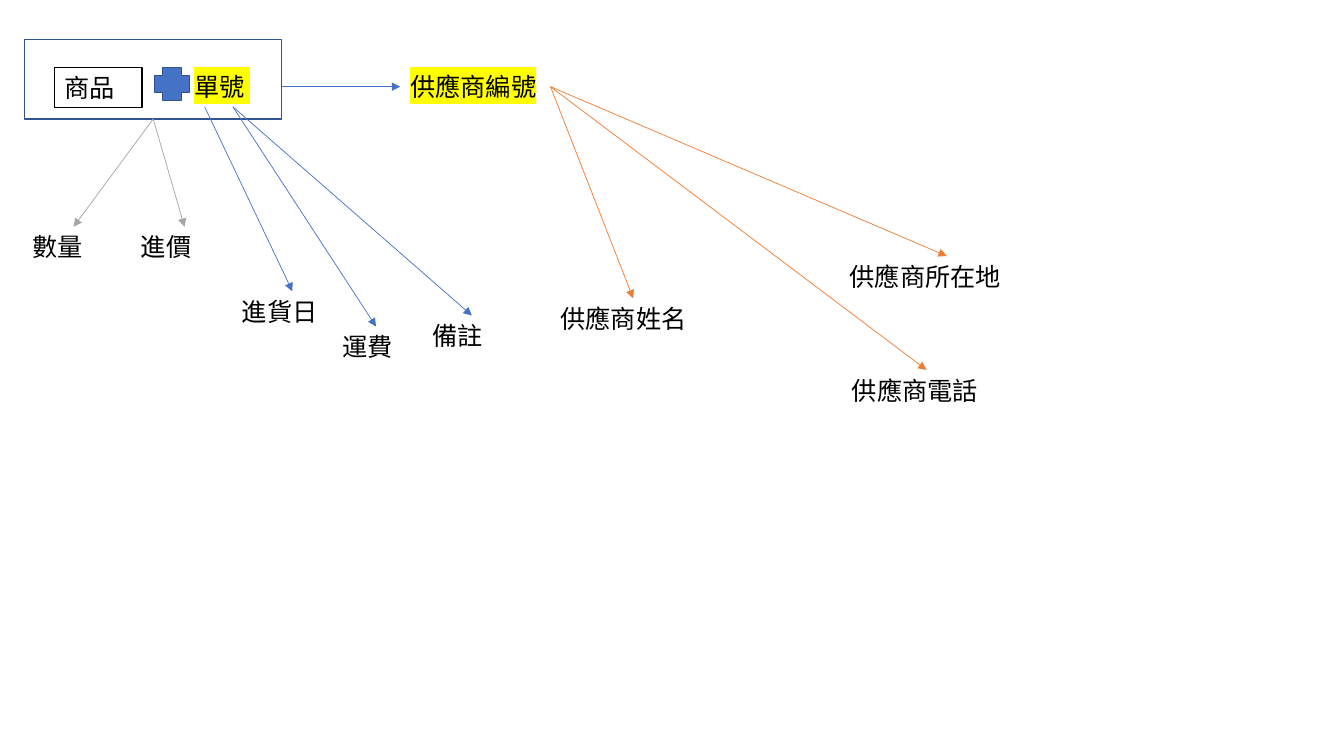
"""Draw a dependency map of purchase fields, from order keys to supplier details."""
from dataclasses import dataclass
from typing import Optional

from lxml.etree import SubElement
from pptx import Presentation
from pptx.dml.color import RGBColor as Rgb
from pptx.enum.shapes import MSO_CONNECTOR as Link, MSO_SHAPE as Form
from pptx.enum.text import MSO_ANCHOR as Anchor, MSO_AUTO_SIZE as Auto, PP_ALIGN as Align
from pptx.oxml.ns import qn
from pptx.shapes.autoshape import Shape
from pptx.shapes.shapetree import SlideShapes as Shapes
from pptx.util import Emu, Pt


@dataclass(frozen=True)
class Theme:
    """Colours, fonts and sizes of the slide."""
    ink: str = "000000"
    paper: str = "FFFFFF"
    mark: str = "FFFF00"
    blue: str = "4472C4"
    navy: str = "325491"
    orange: str = "ED7D31"
    grey: str = "A5A5A5"
    han: str = "Noto Sans CJK TC"
    latin: str = "Calibri"
    text: int = 18
    edge: float = 1
    wire: float = 0.5


@dataclass(frozen=True)
class Box:
    """A rectangle in px."""
    left: int
    top: int
    width: int
    height: int = 40

    @property
    def mid(self) -> int:
        """Horizontal centre."""
        return self.left + self.width // 2


@dataclass(frozen=True)
class Label:
    """A field name, highlighted when it is a key."""
    text: str
    box: Box
    key: bool = False


@dataclass(frozen=True)
class Arrow:
    """An arrow between two points in px."""
    start: tuple[int, int]
    end: tuple[int, int]
    color: str


THEME = Theme()
SCALE = 9144
WIDE, HIGH = 1333, 750

FRAME = Box(24, 39, 255, 79)
PLUS = Box(153, 67, 35, 33)
GOODS = Label("商品", Box(54, 67, 87))
ORDER = Label("單號", Box(183, 66, 97), True)
VENDOR = Label("供應商編號", Box(397, 66, 149), True)
DATE = Label("進貨日", Box(230, 289, 121))
FREIGHT = Label("運費", Box(330, 324, 87))
PRICE = Label("進價", Box(130, 225, 106))
COUNT = Label("數量", Box(22, 225, 103))
NOTE = Label("備註", Box(419, 313, 99))
PHONE = Label("供應商電話", Box(835, 367, 169))
PLACE = Label("供應商所在地", Box(833, 254, 213))
NAME = Label("供應商姓名", Box(546, 296, 165))
LABELS = (ORDER, DATE, FREIGHT, VENDOR, PRICE, COUNT, NOTE, PHONE, PLACE, NAME)

FANS = (
    ((203, 106), THEME.blue, (DATE,)),
    ((ORDER.box.mid, 106), THEME.blue, (FREIGHT, NOTE)),
    ((546, 86), THEME.orange, (PLACE, PHONE, NAME)),
    ((152, 118), THEME.grey, (PRICE, COUNT)),
)
ARROWS = [Arrow((280, 86), (397, 86), THEME.blue)] + [
    Arrow(start, (label.box.mid, label.box.top), color)
    for start, color, labels in FANS for label in labels
]


def px(*sizes: int) -> list[Emu]:
    """Turn px into EMU."""
    return [Emu(size * SCALE) for size in sizes]


def place(box: Box) -> list[Emu]:
    """Give the EMU position and size of a box."""
    return px(box.left, box.top, box.width, box.height)


def add_run(para, text: str, face: str, key: bool) -> None:
    """Add one styled run to a paragraph."""
    run = para.add_run()
    run.text = text
    font = run.font
    font.size = Pt(THEME.text)
    font.color.rgb = Rgb.from_string(THEME.ink)
    props = run._r.get_or_add_rPr()
    if key:
        glow = SubElement(props, qn("a:highlight"))
        SubElement(glow, qn("a:srgbClr"), val=THEME.mark)
    font.name = face
    SubElement(props, qn("a:ea"), typeface=THEME.han)


def write(shape: Shape, label: Label) -> None:
    """Write a label into a shape."""
    frame = shape.text_frame
    frame.word_wrap = True
    frame.auto_size = Auto.SHAPE_TO_FIT_TEXT
    frame.vertical_anchor = Anchor.TOP
    para = frame.paragraphs[0]
    para.alignment = Align.LEFT
    add_run(para, label.text, THEME.han, label.key)
    if label.key:
        add_run(para, " ", THEME.latin, True)


def add_form(shapes: Shapes, form: Form, box: Box, line: str,
             fill: Optional[str] = None) -> Shape:
    """Add an outlined preset shape."""
    shape = shapes.add_shape(form, *place(box))
    shape.shadow.inherit = False
    shape.line.color.rgb = Rgb.from_string(line)
    shape.line.width = Pt(THEME.edge)
    if fill:
        shape.fill.solid()
        shape.fill.fore_color.rgb = Rgb.from_string(fill)
    else:
        shape.fill.background()
    return shape


def add_arrow(shapes: Shapes, arrow: Arrow) -> None:
    """Add a straight arrow."""
    wire = shapes.add_connector(Link.STRAIGHT, *px(*arrow.start, *arrow.end))
    wire.line.color.rgb = Rgb.from_string(arrow.color)
    wire.line.width = Pt(THEME.wire)
    SubElement(wire.line._get_or_add_ln(), qn("a:tailEnd"), type="triangle")
    SubElement(wire._element.spPr, qn("a:effectLst"))


def main() -> None:
    """Build and save the slide."""
    deck = Presentation()
    deck.slide_width, deck.slide_height = px(WIDE, HIGH)
    shapes = deck.slides.add_slide(deck.slide_layouts[6]).shapes
    for label in LABELS:
        write(shapes.add_textbox(*place(label.box)), label)
    write(add_form(shapes, Form.RECTANGLE, GOODS.box, THEME.ink, THEME.paper), GOODS)
    add_form(shapes, Form.RECTANGLE, FRAME, THEME.navy)
    add_form(shapes, Form.CROSS, PLUS, THEME.navy, THEME.blue)
    for arrow in ARROWS:
        add_arrow(shapes, arrow)
    deck.save("out.pptx")


if __name__ == "__main__":
    main()
